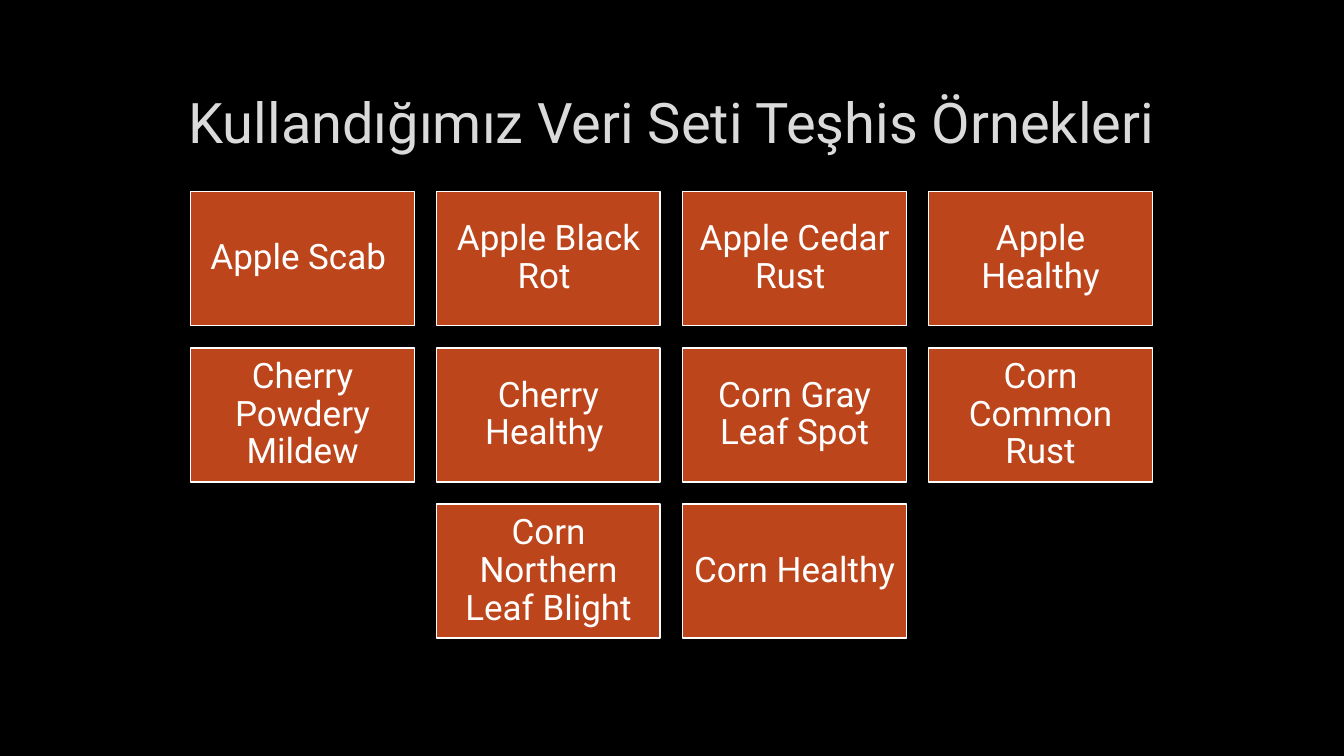
"""Build a slide listing the diagnosis classes of a plant leaf data set."""
from pptx import Presentation
from pptx.dml.color import RGBColor
from pptx.enum.shapes import MSO_SHAPE
from pptx.enum.text import MSO_ANCHOR, PP_ALIGN
from pptx.util import Inches, Pt

RECTANGLE = MSO_SHAPE.RECTANGLE
MIDDLE = MSO_ANCHOR.MIDDLE
CENTER = PP_ALIGN.CENTER

SLIDE_WIDTH, SLIDE_HEIGHT = 13.33, 7.5
CARD_WIDTH, CARD_HEIGHT = 2.22, 1.33
COLUMN_STEP, ROW_STEP = 2.44, 1.55
GRID_LEFT, GRID_TOP = 1.89, 1.9
COLUMNS = 4

DIAGNOSIS_ROWS = [
    ["Apple Scab ", "Apple Black Rot ", "Apple Cedar Rust ", "Apple Healthy"],
    ["Cherry Powdery Mildew", "Cherry Healthy ", "Corn Gray Leaf Spot", "Corn Common Rust"],
    ["Corn Northern Leaf Blight", "Corn Healthy"],
]


def color(hex_value):
    return RGBColor.from_string(hex_value)


def write_centered(frame, text, size, hex_value):
    frame.word_wrap = True
    frame.vertical_anchor = MIDDLE
    paragraph = frame.paragraphs[0]
    paragraph.alignment = CENTER
    run = paragraph.add_run()
    run.text = text
    run.font.name = "Roboto"
    run.font.size = Pt(size)
    run.font.color.rgb = color(hex_value)
    return paragraph


presentation = Presentation()
presentation.slide_width = Inches(SLIDE_WIDTH)
presentation.slide_height = Inches(SLIDE_HEIGHT)
slide = presentation.slides.add_slide(presentation.slide_layouts[6])
slide.background.fill.solid()
slide.background.fill.fore_color.rgb = color("000000")

heading = slide.shapes.add_textbox(Inches(1), Inches(0.67), Inches(11.32), Inches(1.06))
write_centered(heading.text_frame, "Kullandığımız Veri Seti Teşhis Örnekleri", 40, "DADADA")

for row, diagnoses in enumerate(DIAGNOSIS_ROWS):
    row_left = GRID_LEFT + (COLUMNS - len(diagnoses)) / 2 * COLUMN_STEP
    for column, diagnosis in enumerate(diagnoses):
        card = slide.shapes.add_shape(
            RECTANGLE,
            Inches(row_left + column * COLUMN_STEP),
            Inches(GRID_TOP + row * ROW_STEP),
            Inches(CARD_WIDTH),
            Inches(CARD_HEIGHT),
        )
        card.shadow.inherit = False
        card.fill.solid()
        card.fill.fore_color.rgb = color("BC451B")
        card.line.color.rgb = color("FFFFFF")
        card.line.width = Pt(1.25)
        frame = card.text_frame
        frame.margin_left = frame.margin_right = Inches(0.1)
        frame.margin_top = frame.margin_bottom = Inches(0.1)
        label = write_centered(frame, diagnosis, 25, "FFFFFF")
        label.line_spacing = 0.9

presentation.save("out.pptx")
